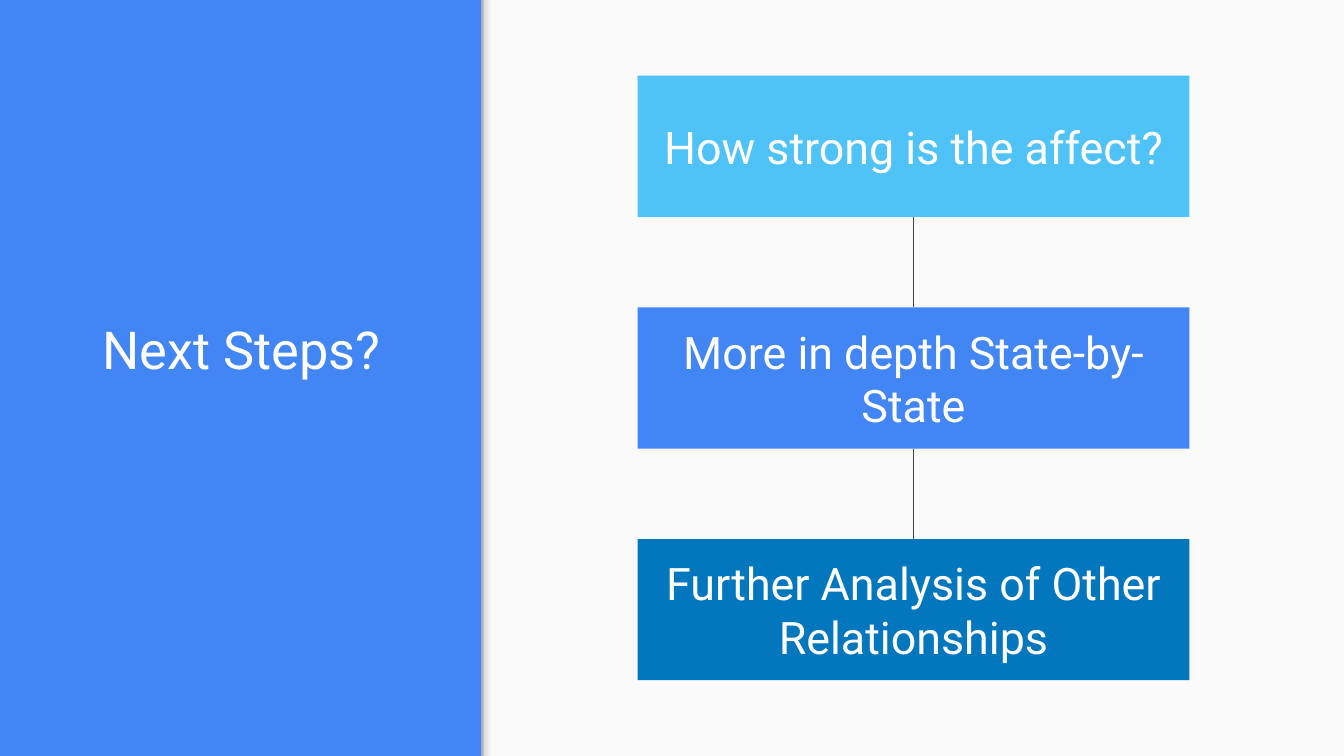
from copy import deepcopy

from lxml.etree import SubElement
from pptx import Presentation
from pptx.dml.color import RGBColor
from pptx.enum.shapes import MSO_CONNECTOR as Connector, MSO_SHAPE as Shape
from pptx.enum.text import MSO_ANCHOR as Anchor, PP_ALIGN as Align
from pptx.oxml.ns import qn
from pptx.util import Cm, Pt

BLUE = RGBColor(0x42, 0x85, 0xF4)
SKY = RGBColor(0x4F, 0xC3, 0xF7)
DEEP_BLUE = RGBColor(0x02, 0x77, 0xBD)
WHITE = RGBColor(0xFF, 0xFF, 0xFF)
PALE = RGBColor(0xFA, 0xFA, 0xFA)
LINE_GRAY = RGBColor(0x42, 0x42, 0x42)
EDGE_STOPS = [
    (0, RGBColor(0x99, 0x99, 0x99)),
    (0.2, RGBColor(0xDE, 0xDE, 0xDE)),
    (0.64, RGBColor(0xF9, 0xF9, 0xF9)),
    (1, RGBColor(0xF9, 0xF9, 0xF9)),
]

deck = Presentation()
deck.slide_width, deck.slide_height = Cm(25.4), Cm(14.29)
page = deck.slides.add_slide(deck.slide_layouts[6])
page.background.fill.solid()
page.background.fill.fore_color.rgb = BLUE


def add_rectangle(left, top, width, height, color):
    box = page.shapes.add_shape(Shape.RECTANGLE, left, top, width, height)
    box.shadow.inherit = False
    box.line.fill.background()
    box.fill.solid()
    box.fill.fore_color.rgb = color
    return box


def write_text(box, text, size, anchor):
    frame = box.text_frame
    frame.word_wrap = True
    frame.vertical_anchor = anchor
    frame.margin_left = frame.margin_right = Cm(0.25)
    frame.margin_top = frame.margin_bottom = Cm(0.25)
    para = frame.paragraphs[0]
    para.alignment = Align.CENTER
    span = para.add_run()
    span.text = text
    span.font.name = "Roboto"
    span.font.size = Pt(size)
    span.font.color.rgb = WHITE


# Pale panel on the right, with a soft shadow along its left edge
panel_left = Cm(9.1)
add_rectangle(panel_left, 0, deck.slide_width - panel_left, deck.slide_height, PALE)
edge = add_rectangle(panel_left, 0, Cm(0.3), deck.slide_height, PALE)
edge.fill.gradient()
edge.fill.gradient_angle = 0
stop_list = edge.fill.gradient_stops
first_stop = next(edge.element.iter(qn("a:gs")))
for _ in range(len(EDGE_STOPS) - len(stop_list)):
    first_stop.addnext(deepcopy(first_stop))
for stop, (position, color) in zip(edge.fill.gradient_stops, EDGE_STOPS):
    stop.position = position
    stop.color.rgb = color

# Title on the blue side
title = page.shapes.add_textbox(Cm(0.66), Cm(4.8), Cm(7.8), Cm(2.64))
write_text(title, "Next Steps?", 28, Anchor.BOTTOM)

# Chain of steps, each joined to the one above
STEPS = [
    ("How strong is the affect?", SKY),
    ("More in depth State-by-State", BLUE),
    ("Further Analysis of Other Relationships", DEEP_BLUE),
]
step_left, first_top = Cm(12.05), Cm(1.43)
step_width, step_height, pitch = Cm(10.43), Cm(2.67), Cm(4.38)
center = step_left + step_width // 2

for index, (text, color) in enumerate(STEPS):
    top = first_top + index * pitch
    if index:
        link = page.shapes.add_connector(
            Connector.STRAIGHT, center, top - pitch + step_height, center, top)
        link.line.color.rgb = LINE_GRAY
        link.line.width = Pt(0.75)
        SubElement(link.element.spPr, qn("a:effectLst"))
    step = add_rectangle(step_left, top, step_width, step_height, color)
    write_text(step, text, 24, Anchor.MIDDLE)

deck.save("out.pptx")
